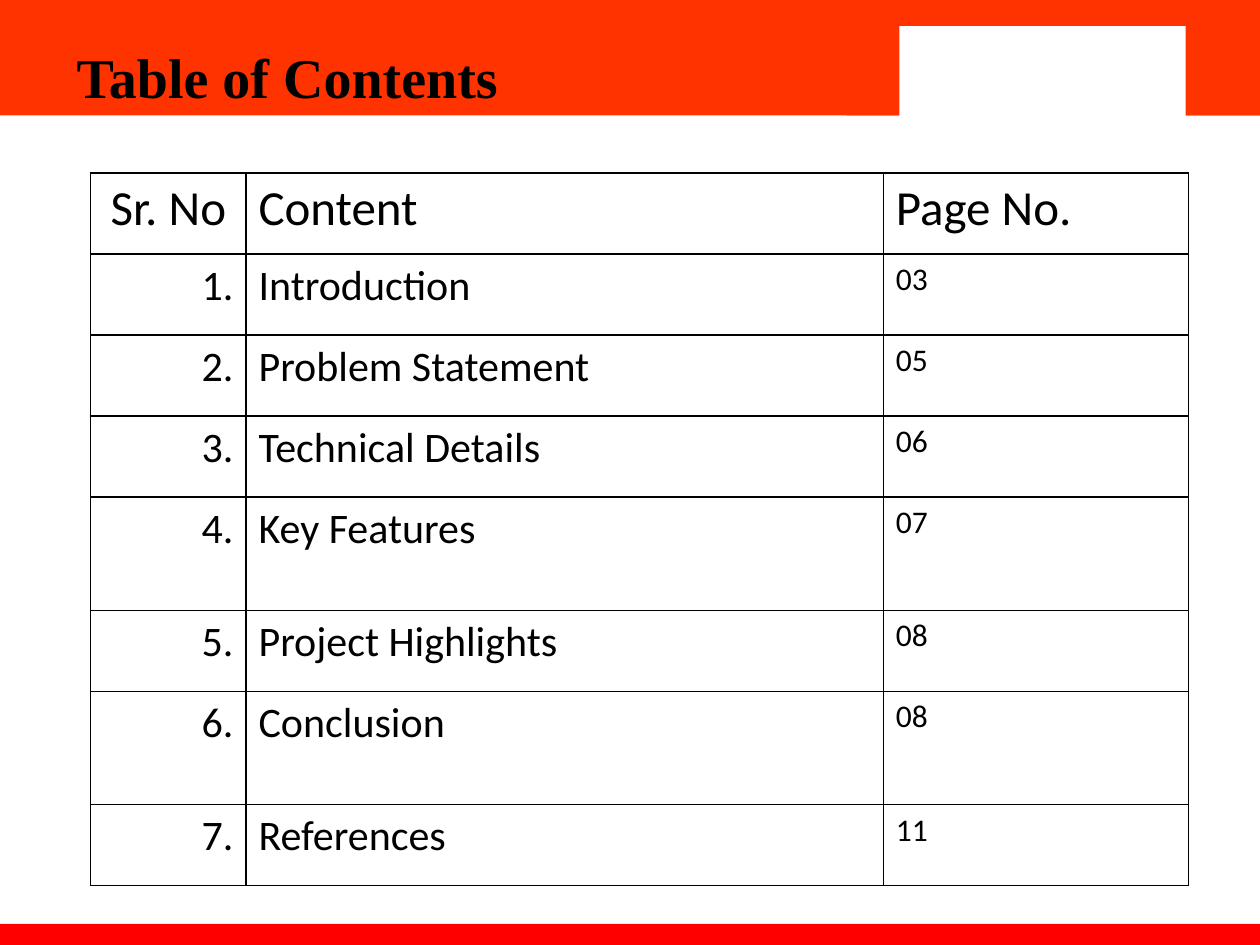
from pptx import Presentation
from pptx.dml.color import RGBColor
from pptx.enum.shapes import MSO_SHAPE
from pptx.enum.text import PP_ALIGN as AL
from pptx.oxml.ns import qn
from pptx.util import Pt
from lxml.etree import SubElement

ORANGE = RGBColor(0xFF, 0x33, 0x00)
RED = RGBColor(0xFF, 0x00, 0x00)
WHITE = RGBColor(0xFF, 0xFF, 0xFF)
BLACK = RGBColor(0x00, 0x00, 0x00)


def add_run(p, text, size, font, bold=False):
    r = p.add_run()
    r.text = text
    r.font.size = Pt(size)
    r.font.name = font
    r.font.bold = bold
    r.font.color.rgb = BLACK


def add_borders(cell):
    tc_pr = cell._tc.get_or_add_tcPr()
    for side in ("a:lnL", "a:lnR", "a:lnT", "a:lnB"):
        ln = SubElement(tc_pr, qn(side), w=str(Pt(1)))
        fill = SubElement(ln, qn("a:solidFill"))
        SubElement(fill, qn("a:srgbClr"), val=str(BLACK))


prs = Presentation()
prs.slide_width, prs.slide_height = Pt(720), Pt(540)
s = prs.slides.add_slide(prs.slide_layouts[6])

# Header band, footer band, header corner and its white panel
bands = [
    (0, 0, 720, 66, ORANGE),
    (0, 528, 720, 16, RED),
    (483.8, 0, 236.2, 66, ORANGE),
    (514, 15, 163.5, 54, WHITE),
]
for x, y, w, h, color in bands:
    sp = s.shapes.add_shape(MSO_SHAPE.RECTANGLE, Pt(x), Pt(y), Pt(w), Pt(h))
    sp.shadow.inherit = False
    sp.fill.solid()
    sp.fill.fore_color.rgb = color
    sp.line.fill.background()

# Title
tb = s.shapes.add_textbox(Pt(36.7), Pt(20.9), Pt(425.5), Pt(46))
tf = tb.text_frame
tf.word_wrap = True
add_run(tf.paragraphs[0], "Table of Contents", 32, "Times New Roman", True)

# Contents table
entries = [
    ("Introduction", "03"),
    ("Problem Statement", "05"),
    ("Technical Details", "06"),
    ("Key Features", "07"),
    ("Project Highlights", "08"),
    ("Conclusion", "08"),
    ("References", "11"),
]
rows = [("Sr. No", "Content", "Page No.")]
rows += [(f"{i}.", name, page) for i, (name, page) in enumerate(entries, 1)]
col_widths = (88.8, 364.2, 174.4)
row_heights = [64.8 if i in (4, 6) else 46.3 for i in range(len(rows))]

gf = s.shapes.add_table(len(rows), len(col_widths), Pt(51.8), Pt(98.8),
                        Pt(sum(col_widths)), Pt(sum(row_heights)))
table = gf.table
table.first_row = table.horz_banding = False
for col, width in zip(table.columns, col_widths):
    col.width = Pt(width)
for i, (values, height) in enumerate(zip(rows, row_heights)):
    table.rows[i].height = Pt(height)
    aligns = (AL.RIGHT if i else AL.CENTER, AL.LEFT, AL.LEFT)
    sizes = (24, 24, 18) if i else (28, 28, 28)
    for j, (text, align, size) in enumerate(zip(values, aligns, sizes)):
        cell = table.cell(i, j)
        add_borders(cell)
        cell.fill.background()
        p = cell.text_frame.paragraphs[0]
        p.alignment = align
        add_run(p, text, size, "Calibri")

prs.save("out.pptx")
